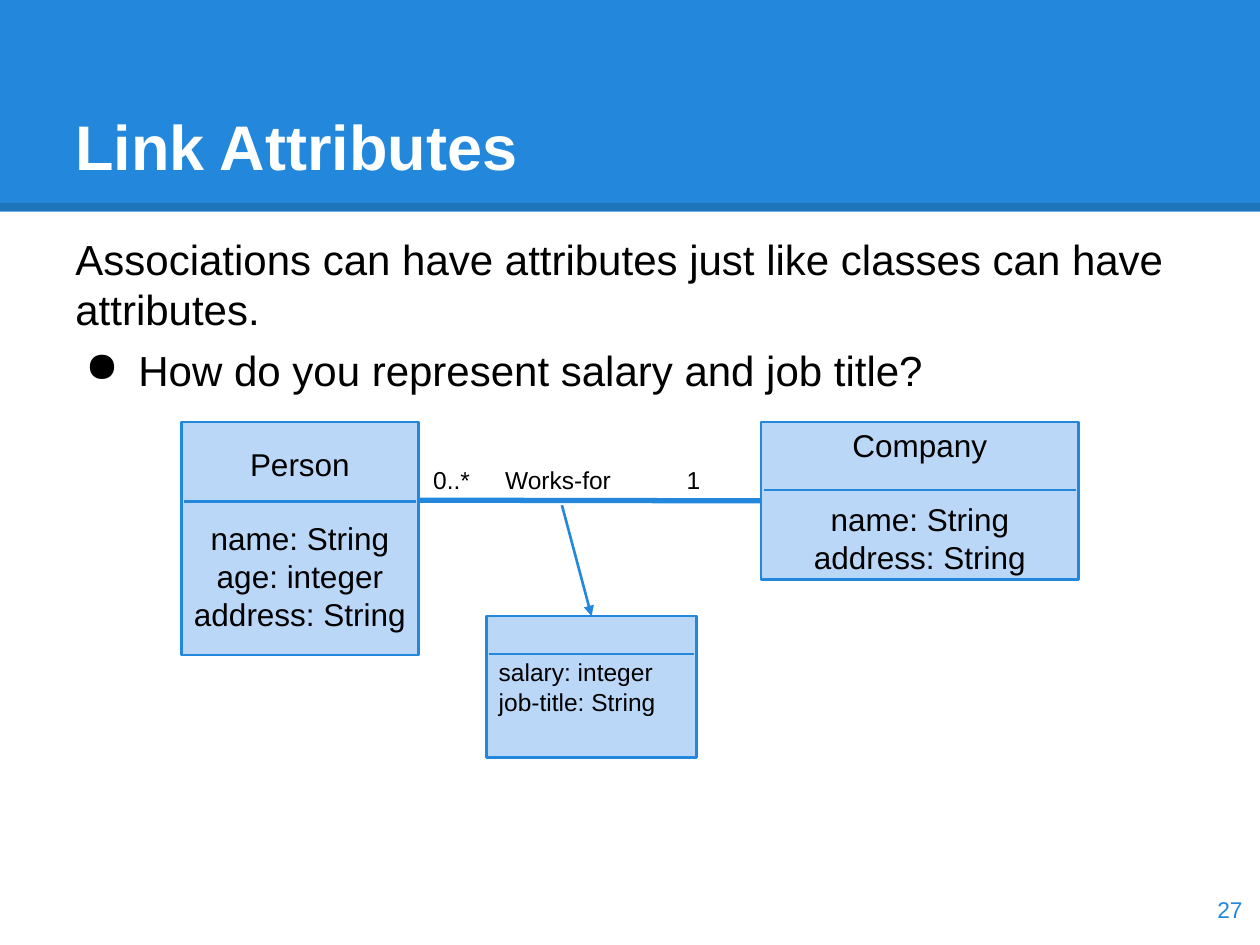
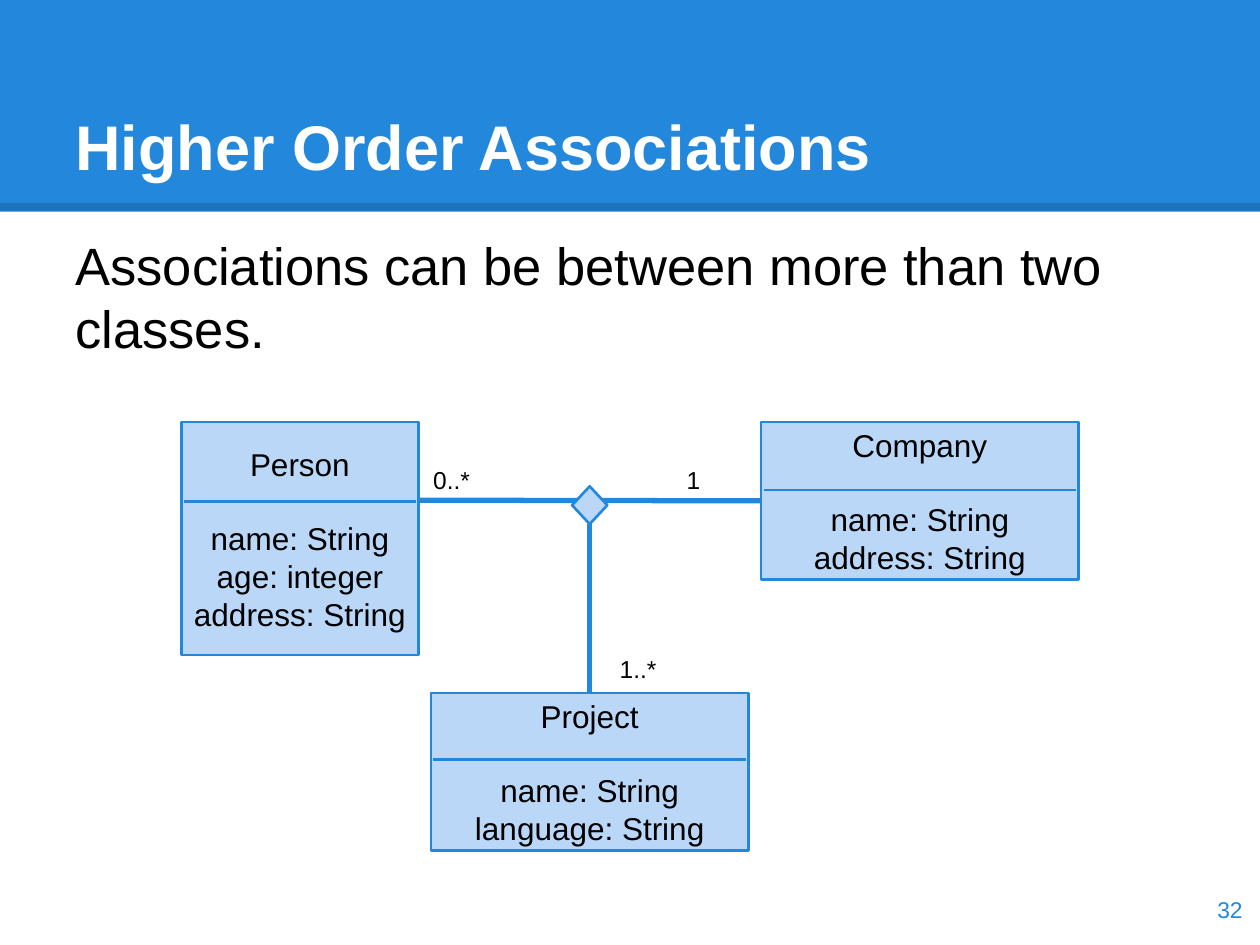
from dataclasses import dataclass

from lxml import etree
from pptx import Presentation
from pptx.dml.color import RGBColor
from pptx.enum import shapes, text
from pptx.oxml.ns import qn
from pptx.util import Inches, Pt


@dataclass(frozen=True)
class Theme:
    font: str = "Arial"
    blue: str = "2388DB"
    dark_blue: str = "1E74BA"
    pale_blue: str = "BBD7F8"
    white: str = "FFFFFF"
    black: str = "000000"
    title: int = 36
    class_text: int = 18
    label: int = 14
    number: int = 13
    name_gap: int = 21
    thin: float = 1.5
    thick: float = 3
    band_line: float = 4.5


T = Theme()
LEFT, CENTER, RIGHT = text.PP_ALIGN.LEFT, text.PP_ALIGN.CENTER, text.PP_ALIGN.RIGHT
TOP, MIDDLE, BOTTOM = text.MSO_ANCHOR.TOP, text.MSO_ANCHOR.MIDDLE, text.MSO_ANCHOR.BOTTOM

# Classes: position (left, top, width, height), divider offset, name, attributes
PERSON = dict(at=(1.44, 3.35, 1.88, 1.85), divider=0.63, name="Person",
              attributes=["name: String", "age: integer", "address: String"])
COMPANY = dict(at=(6.04, 3.35, 2.52, 1.25), divider=0.54, name="Company",
               attributes=["name: String", "address: String"])
PROJECT = dict(at=(3.42, 5.5, 2.52, 1.25), divider=0.53, name="Project",
               attributes=["name: String", "language: String"])
JOB = dict(at=(3.86, 4.89, 1.67, 1.12), divider=0.3, name=None,
           attributes=["salary: integer", "job-title: String"])

# Labels: text, left, top, width
PERSON_COUNT = ("0..*", 3.34, 3.59, 0.57)
COMPANY_COUNT = ("1", 5.35, 3.59, 0.69)
PROJECT_COUNT = ("1..*", 4.82, 5.09, 0.57)
ASSOCIATION_NAME = ("Works-for", 3.91, 3.59, 1.55)

ASSOCIATION_Y = 3.97
JOB_ARROW_START = (4.46, 4.01)
DIAMOND = (4.54, 3.86, 0.28, 0.3)

SLIDES = [
    dict(title="Link Attributes", number="27", size=24,
         body=["Associations can have attributes just like classes can have attributes."],
         bullets=["How do you represent salary and job title?"],
         labels=[ASSOCIATION_NAME, PERSON_COUNT, COMPANY_COUNT], extra="job"),
    dict(title="Higher Order Associations", number="32", size=30,
         body=["Associations can be between more than two classes."],
         bullets=[],
         labels=[PERSON_COUNT, COMPANY_COUNT, PROJECT_COUNT], extra="project"),
]


def set_all(target, values):
    for name, value in values.items():
        setattr(target, name, value)


def write(sp, lines, size, color=T.black, bold=False, align=LEFT, anchor=TOP):
    """Fill a shape with one paragraph per line and return the paragraphs."""
    tf = sp.text_frame
    set_all(tf, dict(word_wrap=True, vertical_anchor=anchor))
    set_all(tf, {f"margin_{side}": Inches(0.1)
                 for side in ("left", "top", "right", "bottom")})
    for i, line in enumerate(lines):
        p = tf.paragraphs[0] if i == 0 else tf.add_paragraph()
        p.alignment = align
        r = p.add_run()
        r.text = line
        set_all(r.font, dict(name=T.font, size=Pt(size), bold=bold))
        r.font.color.rgb = RGBColor.from_string(color)
    return tf.paragraphs


def add_text(s, at, lines, size, **style):
    return write(s.shapes.add_textbox(*map(Inches, at)), lines, size, **style)


def add_box(s, kind, at, fill, outline=None):
    sp = s.shapes.add_shape(kind, *map(Inches, at))
    sp.shadow.inherit = False
    sp.fill.solid()
    sp.fill.fore_color.rgb = RGBColor.from_string(fill)
    if outline:
        sp.line.color.rgb = RGBColor.from_string(outline)
        sp.line.width = Pt(T.thin)
    else:
        sp.line.fill.background()
    return sp


def add_line(s, start, end, width=T.thin, color=T.blue, arrow=False):
    c = s.shapes.add_connector(shapes.MSO_CONNECTOR.STRAIGHT,
                               *map(Inches, (*start, *end)))
    c.line.color.rgb = RGBColor.from_string(color)
    c.line.width = Pt(width)
    if arrow:
        etree.SubElement(c.line._get_or_add_ln(), qn("a:tailEnd"), type="triangle")
    etree.SubElement(c._element.spPr, qn("a:effectLst"))
    return c


def add_bullet(p):
    pPr = p._p.get_or_add_pPr()
    set_all_xml = dict(marL=Inches(0.5), indent=Inches(-0.42))
    for name, value in set_all_xml.items():
        pPr.set(name, str(int(value)))
    etree.SubElement(pPr, qn("a:buChar"), char="●")


def add_class(s, at, divider, name, attributes):
    x, y, w, _ = at
    sp = add_box(s, shapes.MSO_SHAPE.RECTANGLE, at, T.pale_blue, T.blue)
    if name:
        ps = write(sp, [name, *attributes], T.class_text, align=CENTER, anchor=MIDDLE)
        ps[1].space_before = Pt(T.name_gap)
    else:
        write(sp, attributes, T.label, anchor=MIDDLE)
    add_line(s, (x + 0.02, y + divider), (x + w - 0.02, y + divider))
    return sp


def add_frame(s, title, number):
    # Title band and slide number
    add_box(s, shapes.MSO_SHAPE.RECTANGLE, (0, 0, 10, 1.68), T.blue)
    add_line(s, (0, 1.64), (10, 1.64), T.band_line, T.dark_blue)
    add_text(s, (0.5, 0.3, 9, 1.25), [title], T.title,
             color=T.white, bold=True, anchor=BOTTOM)
    add_text(s, (9.36, 6.93, 0.6, 0.57), [number], T.number,
             color=T.blue, align=RIGHT, anchor=MIDDLE)


def add_body(s, body, bullets, size):
    ps = add_text(s, (0.5, 1.75, 9.41, 0.97), body + bullets, size)
    for p in ps[1:]:
        p.space_before = Pt(6)
    for p in ps[len(body):]:
        add_bullet(p)


def add_job(s):
    # Link attributes, reached by an arrow from the association
    job = add_class(s, **JOB)
    x, y, w, _ = JOB["at"]
    arrow = add_line(s, JOB_ARROW_START, (x + w / 2, y), arrow=True)
    arrow.end_connect(job, 0)


def add_project(s):
    # Third class, joined through the diamond
    project = add_class(s, **PROJECT)
    diamond = add_box(s, shapes.MSO_SHAPE.DIAMOND, DIAMOND, T.pale_blue, T.blue)
    x, y, w, h = DIAMOND
    link = add_line(s, (x + w / 2, PROJECT["at"][1]), (x + w / 2, y + h), T.thick)
    link.begin_connect(project, 0)
    link.end_connect(diamond, 2)


def build_slide(prs, title, number, size, body, bullets, labels, extra):
    s = prs.slides.add_slide(prs.slide_layouts[6])
    add_frame(s, title, number)
    add_body(s, body, bullets, size)

    # Person and Company with their association
    add_class(s, **PERSON)
    company = add_class(s, **COMPANY)
    person_right = PERSON["at"][0] + PERSON["at"][2]
    link = add_line(s, (person_right, ASSOCIATION_Y),
                    (COMPANY["at"][0], ASSOCIATION_Y), T.thick)
    link.end_connect(company, 1)

    {"job": add_job, "project": add_project}[extra](s)
    for label, x, y, w in labels:
        add_text(s, (x, y, w, 0.3), [label], T.label)


def main():
    prs = Presentation()
    set_all(prs, dict(slide_width=Inches(10), slide_height=Inches(7.5)))
    for content in SLIDES:
        build_slide(prs, **content)
    prs.save("out.pptx")


if __name__ == "__main__":
    main()
